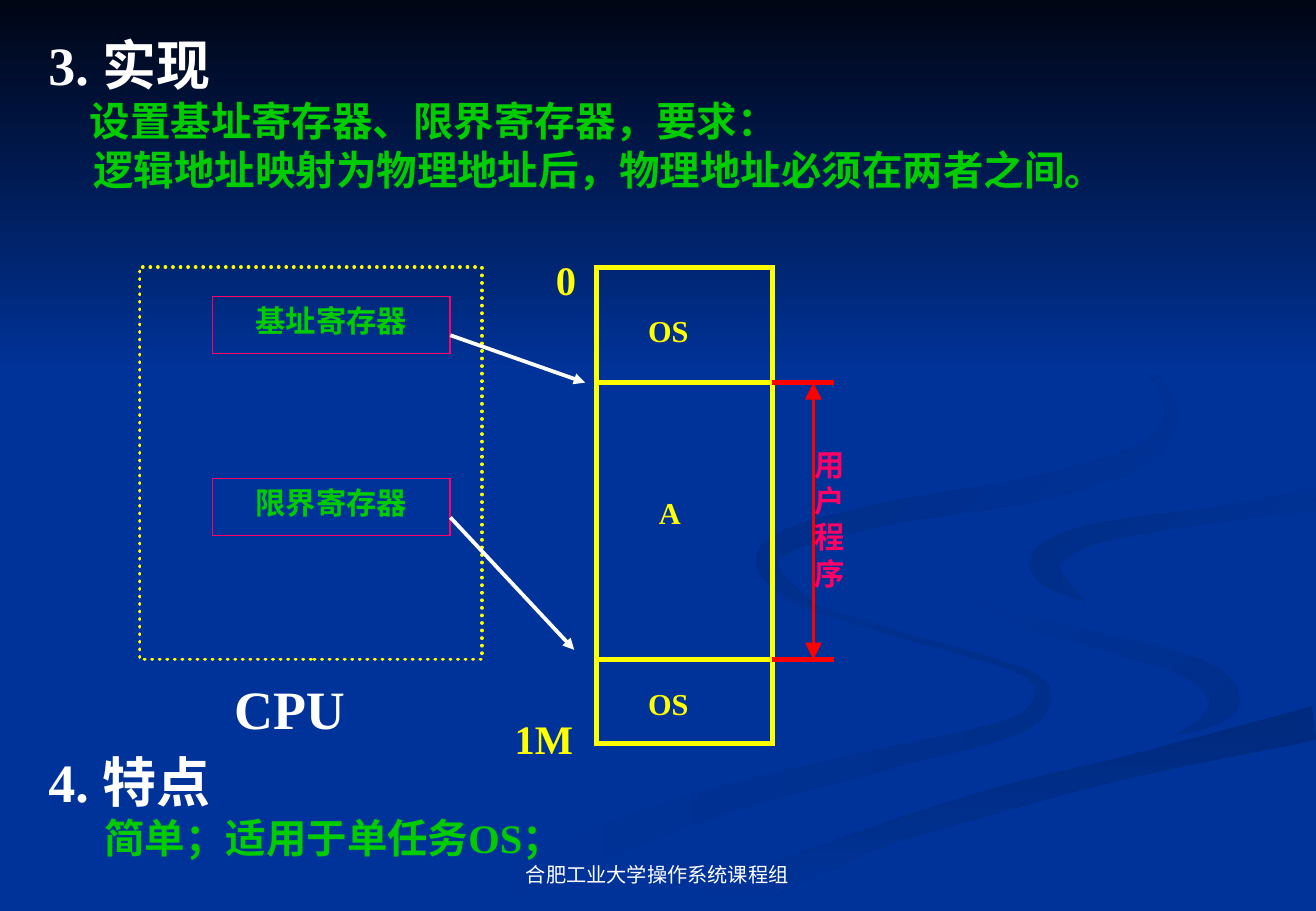
import math

import lxml.etree
import pptx
import pptx.dml.color
import pptx.enum.dml
import pptx.enum.shapes
import pptx.enum.text
import pptx.oxml.ns
import pptx.util

Inches = pptx.util.Inches
Pt = pptx.util.Pt
ALIGN = pptx.enum.text.PP_ALIGN
ANCHOR = pptx.enum.text.MSO_ANCHOR

COLORS = {
    "background": "003399", "night": "000514", "white": "FFFFFF",
    "yellow": "FFFF00", "green": "00CC00", "pink": "FF0066", "red": "FF0000",
    "ring": "002E8B", "stream": "002A7D", "bend": "002D86", "arc": "002B82",
}
SLIDE_W, SLIDE_H = 10.84, 7.5
STEPS_PER_KNOT = 6

MEMORY_LEFT, MEMORY_RIGHT = 4.91, 6.36
MEMORY_TOP, MEMORY_BOTTOM = 2.2, 6.12
USER_TOP, USER_BOTTOM = 3.15, 5.43
BRACKET_RIGHT, RANGE_X = 6.87, 6.7
REGISTER_LEFT, REGISTER_W, REGISTER_H = 1.75, 1.96, 0.47


def rgb(name):
    return pptx.dml.color.RGBColor.from_string(COLORS[name])


def catmull_rom(a, b, c, d, t):
    return (2 * b + (c - a) * t + (2 * a - 5 * b + 4 * c - d) * t ** 2
            + (3 * b - a - 3 * c + d) * t ** 3) / 2


def smooth_path(knots):
    padded = [knots[0], *knots, knots[-1]]
    path = []
    for quad in zip(padded, padded[1:], padded[2:], padded[3:]):
        for step in range(STEPS_PER_KNOT):
            t = step / STEPS_PER_KNOT
            path.append(tuple(catmull_rom(*axis, t) for axis in zip(*quad)))
    return path + [knots[-1]]


def ribbon_outline(knots):
    path = smooth_path(knots)
    left, right = [], []
    for i, (x, y, width) in enumerate(path):
        before, after = path[max(i - 1, 0)], path[min(i + 1, len(path) - 1)]
        angle = math.atan2(after[1] - before[1], after[0] - before[0])
        dx = -math.sin(angle) * max(width, 0) / 2
        dy = math.cos(angle) * max(width, 0) / 2
        left.append((x + dx, y + dy))
        right.append((x - dx, y - dy))
    return [(min(x, SLIDE_W), min(y, SLIDE_H)) for x, y in left + right[::-1]]


def fill_gradient(sp, start, end, angle):
    sp.shadow.inherit = False
    sp.line.fill.background()
    sp.fill.gradient()
    sp.fill.gradient_angle = -angle % 360
    for stop, color in zip(sp.fill.gradient_stops, (start, end)):
        stop.color.rgb = rgb(color)


def add_ribbon(s, start, end, angle, knots):
    points = [(Inches(x), Inches(y)) for x, y in ribbon_outline(knots)]
    builder = s.shapes.build_freeform(*points[0])
    builder.add_line_segments(points[1:], close=True)
    fill_gradient(builder.convert_to_shape(), start, end, angle)


def format_text(p, text, size, color, font="Times New Roman", bold=True):
    p.text = text
    for r in p.runs:
        r.font.size, r.font.bold, r.font.name = Pt(size), bold, font
        r.font.color.rgb = rgb(color)


def add_text(s, box, lines, size, color, wrap=True):
    tf = s.shapes.add_textbox(*map(Inches, box)).text_frame
    tf.word_wrap = wrap
    for i, line in enumerate(lines):
        p = tf.paragraphs[0] if i == 0 else tf.add_paragraph()
        format_text(p, line, size, color)
    return tf


def add_section(s, box, heading, body):
    tf = add_text(s, box, [heading], 32, "white")
    for line, indent in body:
        p = tf.add_paragraph()
        p._p.get_or_add_pPr().set("marL", str(Inches(indent)))
        format_text(p, line, 24, "green")


def add_frame(s, box, color, width):
    sp = s.shapes.add_shape(pptx.enum.shapes.MSO_SHAPE.RECTANGLE, *map(Inches, box))
    sp.shadow.inherit = False
    sp.fill.background()
    sp.line.color.rgb, sp.line.width = rgb(color), Pt(width)
    ln = sp.line._get_or_add_ln()
    lxml.etree.SubElement(ln, pptx.oxml.ns.qn("a:miter"), lim="800000")
    return sp


def add_line(s, start, end, color, width, arrows=(), arrow_size="med"):
    cx = s.shapes.add_connector(pptx.enum.shapes.MSO_CONNECTOR.STRAIGHT,
                                *map(Inches, (*start, *end)))
    cx.line.color.rgb, cx.line.width = rgb(color), Pt(width)
    ln = cx.line._get_or_add_ln()
    for arrow in arrows:
        lxml.etree.SubElement(ln, pptx.oxml.ns.qn(f"a:{arrow}"),
                              type="triangle", w=arrow_size, len=arrow_size)
    lxml.etree.SubElement(cx._element.spPr, pptx.oxml.ns.qn("a:effectLst"))


def add_background(s):
    s.background.fill.solid()
    s.background.fill.fore_color.rgb = rgb("background")
    add_ribbon(s, "background", "ring", 0, [
        (6.2, 4.6, 0), (6.5, 4.92, 0.05), (7.4, 5.22, 0.05), (8.4, 5.52, 0.05),
        (8.59, 5.75, 0.14), (8.3, 6, 0.14), (7.2, 6.27, 0.18),
        (5.6, 6.7, 0.25), (3.58, 7.5, 0.35)])
    add_ribbon(s, "background", "ring", 45, [
        (7.84, 4.64, 0), (8.2, 5.03, 0.08), (9, 5.26, 0.14), (9.8, 5.49, 0.18),
        (10.08, 5.74, 0.26), (9.95, 5.93, 0.12), (9.68, 6.05, 0)])
    add_ribbon(s, "stream", "background", 90, [
        (SLIDE_W, 5.95, 0.28), (9.35, 6.3, 0.18), (8.28, 6.57, 0.2),
        (7.2, 6.9, 0.18), (6.36, 7.25, 0.25), (5.82, 7.5, 0.3)])
    add_ribbon(s, "bend", "background", 45, [
        (8.94, 4.96, 0), (8.6, 4.66, 0.24), (8.9, 4.43, 0.17),
        (9.5, 4.31, 0.14), (10.14, 4.22, 0.13), (SLIDE_W, 4.11, 0.18)])
    add_ribbon(s, "arc", "background", 45, [
        (8.26, 2.33, 0), (9.14, 2.77, 0.04), (9.63, 3.3, 0.07),
        (9.44, 3.72, 0.16), (8.55, 4.02, 0.2), (7.3, 4.23, 0.18),
        (6.45, 4.47, 0.18), (6.35, 4.72, 0.16), (6.74, 5, 0)])
    sky = add_frame(s, (0, 0, SLIDE_W, 3.08), "background", 1)
    fill_gradient(sky, "night", "background", 90)


def add_memory(s):
    add_frame(s, (MEMORY_LEFT, MEMORY_TOP, MEMORY_RIGHT - MEMORY_LEFT,
                  MEMORY_BOTTOM - MEMORY_TOP), "yellow", 3)
    for y in (USER_TOP, USER_BOTTOM):
        add_line(s, (MEMORY_LEFT, y), (MEMORY_RIGHT, y), "yellow", 3)
        add_line(s, (MEMORY_RIGHT, y), (BRACKET_RIGHT, y), "red", 3)
    add_line(s, (RANGE_X, USER_TOP), (RANGE_X, USER_BOTTOM), "red", 2,
             ["headEnd", "tailEnd"], "lg")
    for text, x, y in (("OS", 5.24, 2.52), ("A", 5.33, 4.02), ("OS", 5.24, 5.59)):
        add_text(s, (x, y, 0.83, 0.4), [text], 18, "yellow")
    for address, x, y, width in (("0", 4.48, 2.05, 0.36), ("1M", 4.14, 5.83, 0.68)):
        add_text(s, (x, y, width, 0.5), [address], 24, "yellow", wrap=False)
    add_text(s, (6.61, 3.62, 0.43, 1.3), ["用户", "程序"], 18, "pink")


def add_register(s, name, top, target):
    sp = add_frame(s, (REGISTER_LEFT, top, REGISTER_W, REGISTER_H), "pink", 1)
    tf = sp.text_frame
    tf.vertical_anchor = ANCHOR.TOP
    format_text(tf.paragraphs[0], name, 18, "green")
    tf.paragraphs[0].alignment = ALIGN.CENTER
    add_line(s, (REGISTER_LEFT + REGISTER_W, top + 0.32), target,
             "white", 2.25, ["tailEnd"])


def add_cpu(s):
    cpu = add_frame(s, (1.15, MEMORY_TOP, 2.82, USER_BOTTOM - MEMORY_TOP),
                    "yellow", 2.25)
    cpu.line.dash_style = pptx.enum.dml.MSO_LINE.ROUND_DOT
    cpu.line._get_or_add_ln().set("cap", "rnd")
    add_register(s, "基址寄存器", 2.44, (4.82, USER_TOP))
    add_register(s, "限界寄存器", 3.94, (4.73, 5.35))
    add_text(s, (1.83, 5.51, 1.37, 0.64), ["CPU"], 32, "white")


def add_footer(s):
    tf = s.shapes.add_textbox(*map(Inches, (3.7, 6.83, 3.43, 0.52))).text_frame
    tf.word_wrap, tf.vertical_anchor = True, ANCHOR.BOTTOM
    format_text(tf.paragraphs[0], "合肥工业大学操作系统课程组", 12, "white", "Arial", False)
    tf.paragraphs[0].alignment = ALIGN.CENTER


def main():
    prs = pptx.Presentation()
    prs.slide_width, prs.slide_height = Inches(SLIDE_W), Inches(SLIDE_H)
    s = prs.slides.add_slide(prs.slide_layouts[6])
    add_background(s)
    add_footer(s)
    add_memory(s)
    add_section(s, (0.3, 6.11, 5.42, 1.04), "4. 特点",
                [("简单；适用于单任务OS；", 0.46)])
    add_section(s, (0.3, 0.21, 10.35, 1.44), "3. 实现", [
        ("设置基址寄存器、限界寄存器，要求：", 0.34),
        ("逻辑地址映射为物理地址后，物理地址必须在两者之间。", 0.37)])
    add_cpu(s)
    prs.save("out.pptx")


if __name__ == "__main__":
    main()
